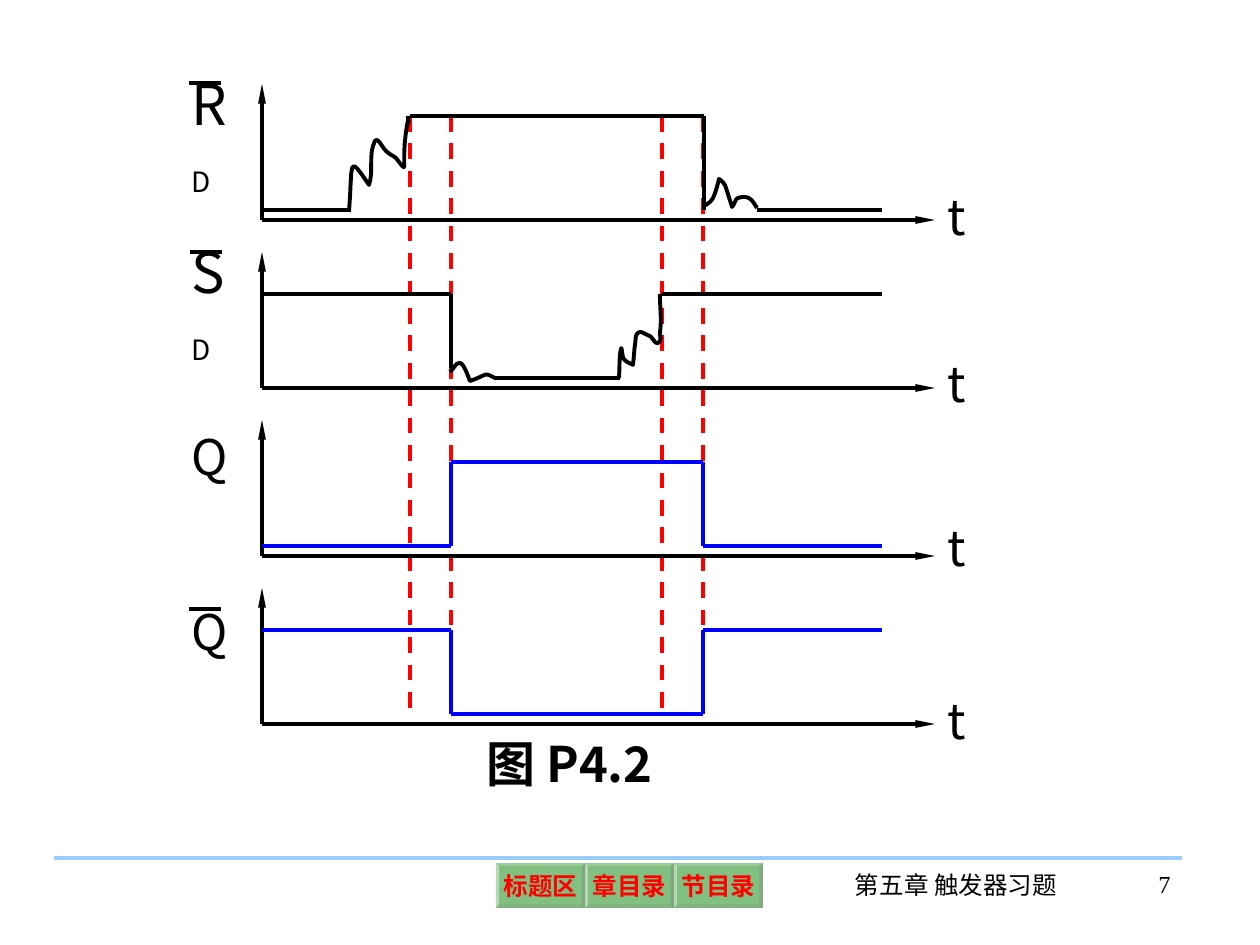
from lxml import etree
from pptx import Presentation
from pptx.dml.color import RGBColor
from pptx.enum.dml import MSO_LINE
from pptx.enum.shapes import MSO_CONNECTOR, MSO_SHAPE
from pptx.enum.text import MSO_ANCHOR, PP_ALIGN
from pptx.oxml.ns import qn
from pptx.util import Pt

SCALE = 914400 / 126
STRAIGHT = MSO_CONNECTOR.STRAIGHT
BEVEL = MSO_SHAPE.BEVEL
DASH = MSO_LINE.DASH
MIDDLE = MSO_ANCHOR.MIDDLE
LEFT, CENTER, RIGHT = PP_ALIGN.LEFT, PP_ALIGN.CENTER, PP_ALIGN.RIGHT
SANS, SERIF = "Noto Sans CJK SC", "Times New Roman"
COLORS = {"ink": "000000", "guide": "FF0000", "output": "0000FF",
          "rule": "99CCFF", "button": "008000", "button_text": "FF0000"}

ORIGIN_X, AXIS_END, WAVE_END = 262, 935, 882
R_HIGH, S_LOW, S_HIGH, R_LOW = 410, 451, 662, 703
ROW_TOP, ROW_STEP, AXIS_HEIGHT = 84, 168, 136

R_RISE = (349, 212), [
    (353, 163, 347, 152, 369, 185), (374, 171, 368, 155, 375, 141),
    (378, 137, 382, 147, 386, 151), (389, 154, 392, 155, 396, 158),
    (410, 176, 401, 168, 406, 132), (410, 105, 408, 136, 408, 116)]
R_FALL = (703, 207), [
    (707, 204, 711, 202, 713, 198), (716, 192, 719, 179, 719, 179),
    (722, 181, 725, 184, 726, 188), (728, 194, 732, 207, 732, 207),
    (735, 204, 735, 199, 738, 198), (750, 194, 753, 202, 757, 208)]
S_FALL = (450, 372), [
    (454, 369, 455, 363, 460, 363), (464, 363, 469, 379, 470, 381),
    (490, 374, 483, 372, 495, 378)]
S_RISE = (619, 378), [
    (620, 368, 619, 358, 621, 349), (622, 345, 622, 357, 624, 359),
    (626, 362, 630, 363, 633, 365), (634, 358, 634, 353, 635, 345),
    (636, 341, 635, 335, 638, 333), (641, 330, 646, 335, 650, 336),
    (653, 338, 655, 344, 658, 343), (662, 341, 660, 336, 660, 333),
    (662, 320, 660, 307, 660, 294)]


def px(value):
    return round(value * SCALE)


def color(name):
    return RGBColor.from_string(COLORS[name])


def add_line(slide, start, end, ink="ink", dashed=False, arrow=False):
    line = slide.shapes.add_connector(STRAIGHT, *map(px, start + end))
    line.line.color.rgb = color(ink)
    line.line.width = Pt(2.25)
    if dashed:
        line.line.dash_style = DASH
    properties = line._element.spPr
    if arrow:
        etree.SubElement(properties.find(qn("a:ln")), qn("a:tailEnd"),
                         type="triangle", w="sm", len="lg")
    etree.SubElement(properties, qn("a:effectLst"))


def add_trace(slide, points, ink="ink"):
    for start, end in zip(points, points[1:]):
        add_line(slide, start, end, ink)


def curve_points(start, segments, steps=8):
    x0, y0 = start
    for x1, y1, x2, y2, x3, y3 in segments:
        for step in range(1, steps + 1):
            t = step / steps
            u = 1 - t
            a, b, c, d = u ** 3, 3 * u * u * t, 3 * u * t * t, t ** 3
            yield (px(a * x0 + b * x1 + c * x2 + d * x3),
                   px(a * y0 + b * y1 + c * y2 + d * y3))
        x0, y0 = x3, y3


def add_bounce(slide, start, segments):
    builder = slide.shapes.build_freeform(*map(px, start))
    builder.add_line_segments(list(curve_points(start, segments)), close=False)
    shape = builder.convert_to_shape()
    shape.shadow.inherit = False
    shape.fill.background()
    shape.line.color.rgb = color("ink")
    shape.line.width = Pt(2.25)


def write(frame, *parts, font=SANS, ink="ink", bold=False, align=LEFT):
    para = frame.paragraphs[0]
    para.alignment = align
    for text, size in parts:
        span = para.add_run()
        span.text = text
        span.font.size = Pt(size)
        span.font.name = font
        span.font.bold = bold
        span.font.color.rgb = color(ink)
        etree.SubElement(span.font._element, qn("a:ea"), typeface=SANS)


def add_text(slide, place, *parts, **style):
    box = slide.shapes.add_textbox(*map(px, place))
    box.text_frame.word_wrap = True
    write(box.text_frame, *parts, **style)


def add_button(slide, left, text):
    button = slide.shapes.add_shape(BEVEL, *map(px, (left, 863, 89, 45)))
    button.adjustments[0] = 0.07
    button.shadow.inherit = False
    button.line.fill.background()
    button.fill.solid()
    button.fill.fore_color.rgb = color("button")
    fill_color = button._element.spPr.find(qn("a:solidFill"))[0]
    etree.SubElement(fill_color, qn("a:alpha"), val="49000")
    frame = button.text_frame
    frame.word_wrap = False
    frame.vertical_anchor = MIDDLE
    frame.margin_left = frame.margin_right = px(5)
    frame.margin_top = frame.margin_bottom = px(5)
    write(frame, (text, 14), font=SERIF, ink="button_text", bold=True, align=CENTER)


def add_axes(slide):
    rows = [(63, 147, [("R", 32), ("D", 16), (" ", 32)], 173),
            (231, 147, [("S", 32), ("D", 16), (" ", 32)], 340),
            (413, 81, [("Q", 28), (" ", 32)], 504),
            (588, 81, [("Q", 28), (" ", 32)], 677)]
    for row, (label_top, label_height, label, time_top) in enumerate(rows):
        tip = ROW_TOP + row * ROW_STEP
        origin = (ORIGIN_X, tip + AXIS_HEIGHT)
        add_line(slide, origin, (ORIGIN_X, tip), arrow=True)
        add_line(slide, origin, (AXIS_END, origin[1]), arrow=True)
        add_text(slide, (179, label_top, 73, label_height), *label)
        add_text(slide, (935, time_top, 73, 81), ("t", 28), (" ", 32))
    for left, y in ((189, 83), (190, 252), (189, 609)):
        add_line(slide, (left, y), (left + 32, y))


def add_inputs(slide):
    add_trace(slide, [(ORIGIN_X, 210), (347, 210)])
    add_trace(slide, [(R_HIGH, 116), (704, 116), (704, 210)])
    add_trace(slide, [(757, 210), (WAVE_END, 210)])
    add_trace(slide, [(ORIGIN_X, 294), (S_LOW, 294), (S_LOW, 368)])
    add_trace(slide, [(494, 378), (620, 378)])
    add_trace(slide, [(S_HIGH, 294), (WAVE_END, 294)])
    for start, segments in (R_RISE, R_FALL, S_FALL, S_RISE):
        add_bounce(slide, start, segments)


def add_outputs(slide):
    for outside, inside in ((546, 462), (630, 714)):
        add_trace(slide, [
            (ORIGIN_X, outside), (R_HIGH, outside), (S_LOW, outside),
            (S_LOW, inside), (S_HIGH, inside), (R_LOW, inside),
            (R_LOW, outside), (WAVE_END, outside)], "output")


def add_footer(slide):
    add_line(slide, (54, 858), (1182, 858), "rule")
    for index, text in enumerate(("标题区", "章目录", "节目录")):
        add_button(slide, 496 + index * 89, text)
    add_text(slide, (839, 864, 234, 63), ("第五章 触发器习题", 14),
             font=SERIF, align=CENTER)
    add_text(slide, (1075, 863, 108, 63), ("7", 14), font=SERIF, align=RIGHT)


def main():
    deck = Presentation()
    deck.slide_width, deck.slide_height = px(1260), px(945)
    slide = deck.slides.add_slide(deck.slide_layouts[6])
    add_footer(slide)
    for x in (R_HIGH, S_LOW, S_HIGH, R_LOW):
        add_line(slide, (x, 116), (x, 714), "guide", dashed=True)
    add_axes(slide)
    add_inputs(slide)
    add_outputs(slide)
    add_text(slide, (474, 727, 219, 72), ("图 P4.2", 28), bold=True)
    deck.save("out.pptx")


if __name__ == "__main__":
    main()
